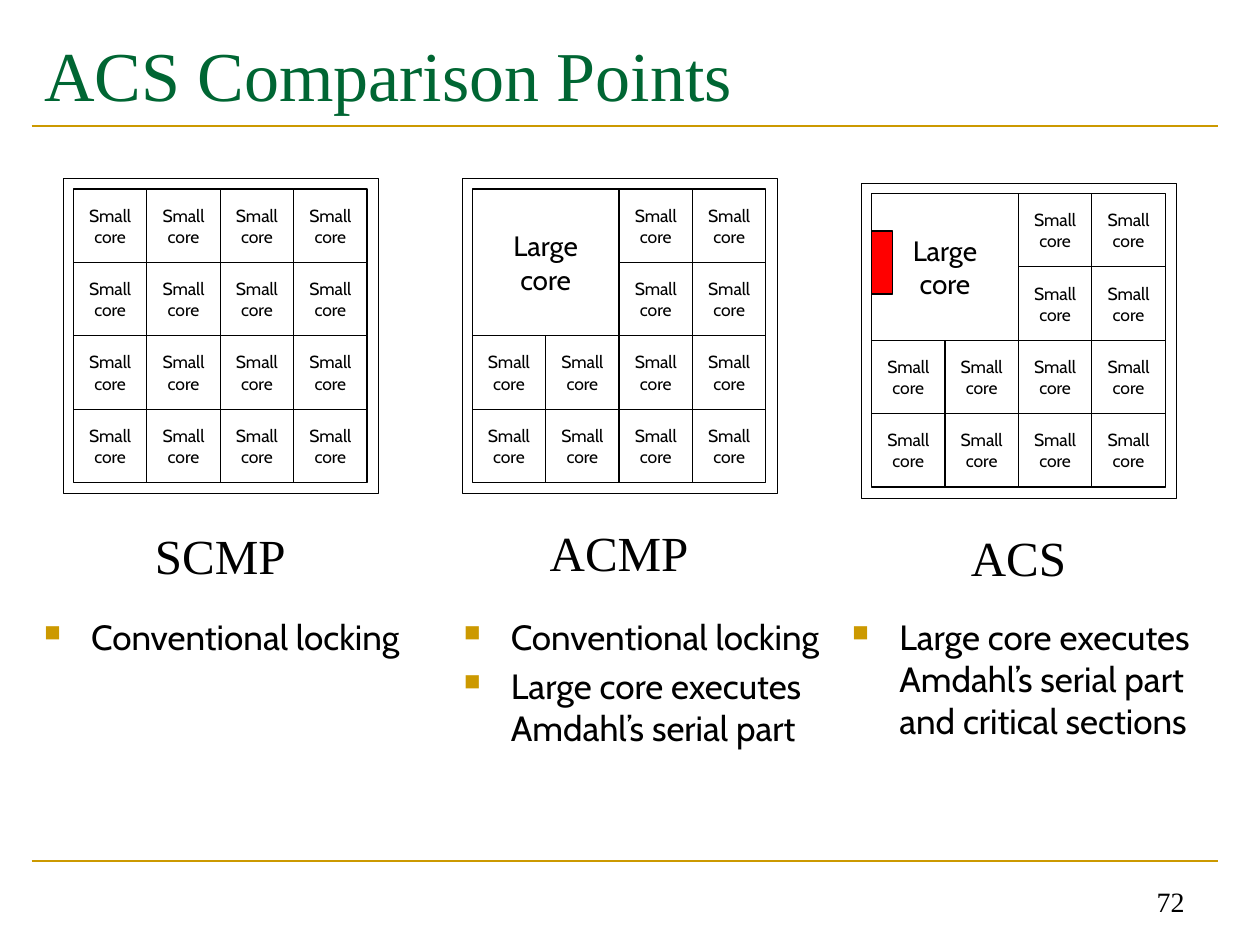
from itertools import product

from lxml.etree import SubElement
from pptx import Presentation
from pptx.dml.color import RGBColor
from pptx.enum.shapes import MSO_CONNECTOR, MSO_SHAPE
from pptx.enum.text import MSO_ANCHOR, PP_ALIGN
from pptx.oxml.ns import qn
from pptx.util import Cm, Pt

BLACK = RGBColor(0x00, 0x00, 0x00)
WHITE = RGBColor(0xFF, 0xFF, 0xFF)
GREEN = RGBColor(0x00, 0x66, 0x33)
GOLD = RGBColor(0xCC, 0x99, 0x00)
RED = RGBColor(0xFF, 0x00, 0x00)

SERIF = "Times New Roman"
SANS = "Cabin"
CELL = 1.48
MARGIN = 0.21
DIE = 6.35


class SlideBuilder:
    """Draws the rules, texts, core grids and bullets of one slide."""

    def __init__(self, page):
        self.page = page

    def fill_text(self, shape, text, size, font, color=BLACK, align=PP_ALIGN.LEFT,
                  anchor=MSO_ANCHOR.TOP, wrap=True):
        frame = shape.text_frame
        frame.text = text
        frame.word_wrap = wrap
        frame.vertical_anchor = anchor
        for para in frame.paragraphs:
            para.alignment = align
            for span in para.runs:
                span.font.size = Pt(size)
                span.font.name = font
                span.font.color.rgb = color
        return frame

    def text(self, left, top, width, height, text, size, font, **style):
        box = self.page.shapes.add_textbox(Cm(left), Cm(top), Cm(width), Cm(height))
        return self.fill_text(box, text, size, font, **style)

    def rule(self, top):
        line = self.page.shapes.add_connector(
            MSO_CONNECTOR.STRAIGHT, Cm(0.64), Cm(top), Cm(24.55), Cm(top))
        line.line.color.rgb = GOLD
        line.line.width = Pt(1.5)
        SubElement(line._element.spPr, qn("a:effectLst"))

    def rectangle(self, shapes, left, top, width, height, fill=None, line=0.75):
        box = shapes.add_shape(
            MSO_SHAPE.RECTANGLE, Cm(left), Cm(top), Cm(width), Cm(height))
        box.shadow.inherit = False
        if fill is None:
            box.fill.background()
        else:
            box.fill.solid()
            box.fill.fore_color.rgb = fill
        if line:
            box.line.color.rgb = BLACK
            box.line.width = Pt(line)
        else:
            box.line.fill.background()
        return box

    def core(self, shapes, left, top, side, text, size):
        box = self.rectangle(shapes, left, top, side, side)
        self.fill_text(box, text, size, SANS, align=PP_ALIGN.CENTER,
                       anchor=MSO_ANCHOR.MIDDLE, wrap=False)

    def die(self, left, top, name, name_top, has_large_core):
        shapes = self.page.shapes.add_group_shape().shapes
        self.rectangle(shapes, left, top, DIE, DIE, line=0.25)
        grid_left, grid_top = left + MARGIN, top + MARGIN
        for row, column in product(range(4), repeat=2):
            if has_large_core and row < 2 and column < 2:
                continue
            self.core(shapes, grid_left + column * CELL, grid_top + row * CELL,
                      CELL, "Small\vcore", 10)
        if has_large_core:
            self.core(shapes, grid_left, grid_top, 2 * CELL, "Large\ncore", 16)
        label = self.rectangle(shapes, grid_left, name_top, 4 * CELL, 1.45,
                               fill=WHITE, line=0)
        frame = self.fill_text(label, name, 28, SERIF, align=PP_ALIGN.CENTER)
        frame.margin_top = Cm(0.23)

    def bullets(self, left, items):
        frame = self.text(left, 12.28, 7.83, 4.92, "\n".join(items), 20, SANS)
        for index, para in enumerate(frame.paragraphs):
            properties = para._p.get_or_add_pPr()
            properties.set("marL", str(Cm(0.95)))
            properties.set("indent", str(Cm(-0.95)))
            color = SubElement(properties, qn("a:buClr"))
            SubElement(color, qn("a:srgbClr"), val=str(GOLD))
            SubElement(properties, qn("a:buSzPct"), val="65000")
            SubElement(properties, qn("a:buChar"), char="■")
            if index:
                para.space_before = Pt(4)


def main():
    deck = Presentation()
    deck.slide_width, deck.slide_height = Cm(25.4), Cm(19.05)
    page = deck.slides.add_slide(deck.slide_layouts[6])
    builder = SlideBuilder(page)

    for top in (2.54, 17.36):
        builder.rule(top)
    builder.text(0.64, 0.42, 23.92, 2.12, "ACS Comparison Points", 40, SERIF,
                 color=GREEN, anchor=MSO_ANCHOR.MIDDLE)
    builder.text(18.2, 17.36, 5.93, 1.27, "72", 16, SERIF,
                 align=PP_ALIGN.RIGHT, anchor=MSO_ANCHOR.BOTTOM)

    builder.die(1.27, 3.6, "SCMP", 10.36, False)
    builder.die(9.31, 3.6, "ACMP", 10.31, True)
    builder.die(17.36, 3.69, "ACS", 10.41, True)
    builder.rectangle(page.shapes, 17.57, 4.66, 0.42, 1.27, fill=RED)

    builder.bullets(0.64, ["Conventional locking"])
    builder.bullets(9.1, ["Conventional locking",
                          "Large core executes Amdahl’s serial part"])
    builder.bullets(16.93, ["Large core executes Amdahl’s serial part "
                            "and critical sections"])
    deck.save("out.pptx")


if __name__ == "__main__":
    main()
